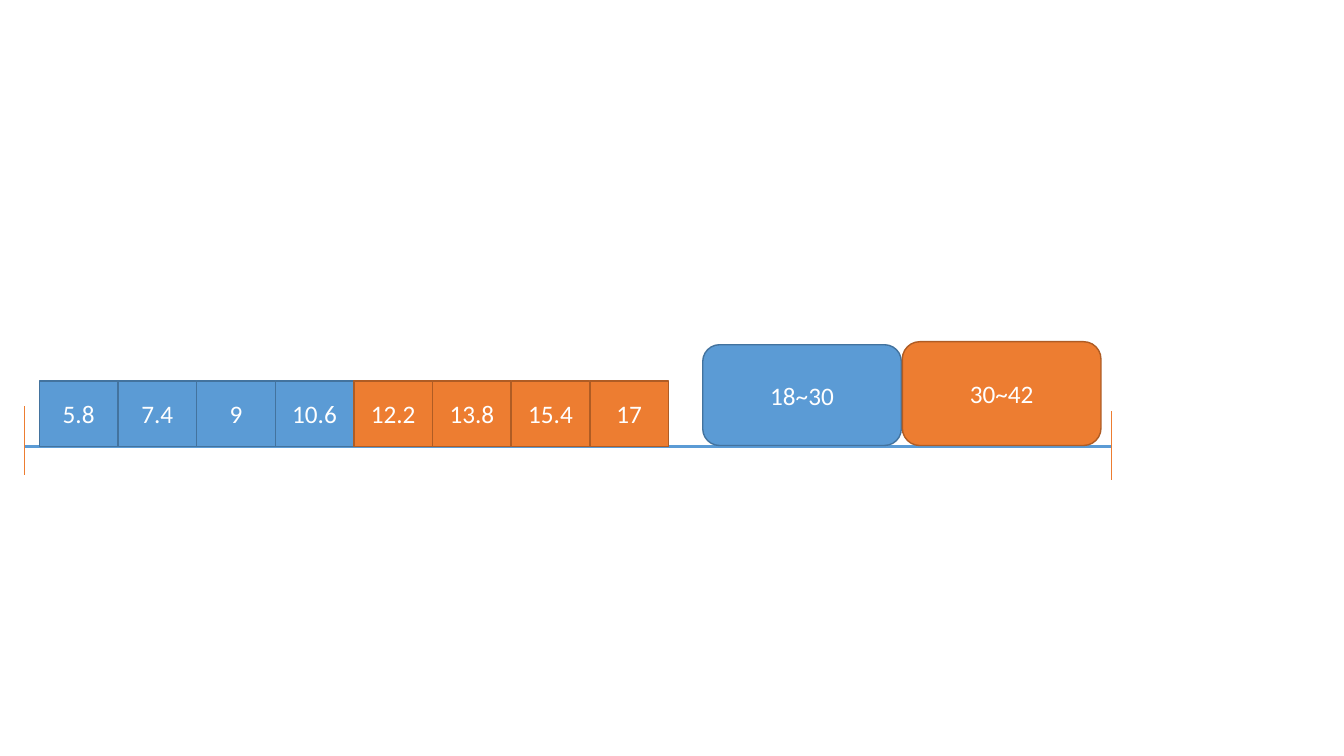
"""Draw a timeline with eight measured steps and two ranges."""
from pptx import Presentation
from pptx import util as u
from pptx.dml import color
from pptx.enum import shapes, text
from pptx.oxml import ns

BLUE, ORANGE = "5B9BD5", "ED7D31"
EDGES = {BLUE: "43739E", ORANGE: "AF5C24"}
STEP, START, AXIS = 0.78, 0.39, 4.43
AXIS_LEFT, AXIS_RIGHT = 0.24, 11.02

deck = Presentation()
deck.slide_width, deck.slide_height = u.Inches(13.33), u.Inches(7.5)
page = deck.slides.add_slide(deck.slide_layouts[6])


def rgb(value):
    return color.RGBColor.from_string(value)


def add_block(kind, label, fill, left, top, width, height):
    box = page.shapes.add_shape(kind, *map(u.Inches, (left, top, width, height)))
    box.shadow.inherit = False
    box.fill.solid()
    box.fill.fore_color.rgb = rgb(fill)
    box.line.color.rgb = rgb(EDGES[fill])
    box.line.width = u.Pt(1)
    box.text_frame.text = label
    box.text_frame.vertical_anchor = text.MSO_ANCHOR.MIDDLE
    para = box.text_frame.paragraphs[0]
    para.alignment = text.PP_ALIGN.CENTER
    font = para.runs[0].font
    font.name, font.size = "Calibri", u.Pt(18)
    font.color.rgb = rgb("FFFFFF")


axis_lines = [
    (AXIS_LEFT, AXIS, AXIS_RIGHT, AXIS, BLUE, 1.5),
    (AXIS_LEFT, 4.03, AXIS_LEFT, 4.71, ORANGE, 0.5),
    (AXIS_RIGHT, 4.08, AXIS_RIGHT, 4.76, ORANGE, 0.5),
]
for *ends, hue, weight in axis_lines:
    line = page.shapes.add_connector(shapes.MSO_CONNECTOR.STRAIGHT, *map(u.Inches, ends))
    line.line.color.rgb = rgb(hue)
    line.line.width = u.Pt(weight)
    line._element.spPr.append(line._element.makeelement(ns.qn("a:effectLst"), {}))

steps = ["5.8", "7.4", "9", "10.6", "12.2", "13.8", "15.4", "17"]
for column, label in enumerate(steps):
    hue = BLUE if column < 4 else ORANGE
    add_block(shapes.MSO_SHAPE.RECTANGLE, label, hue,
              START + column * STEP, AXIS - 0.65, STEP, 0.65)

ranges = [("18~30", BLUE, 6.97, 3.42, 1), ("30~42", ORANGE, 8.95, 3.39, 1.03)]
for label, hue, left, top, height in ranges:
    add_block(shapes.MSO_SHAPE.ROUNDED_RECTANGLE, label, hue, left, top, 1.97, height)

deck.save("out.pptx")
